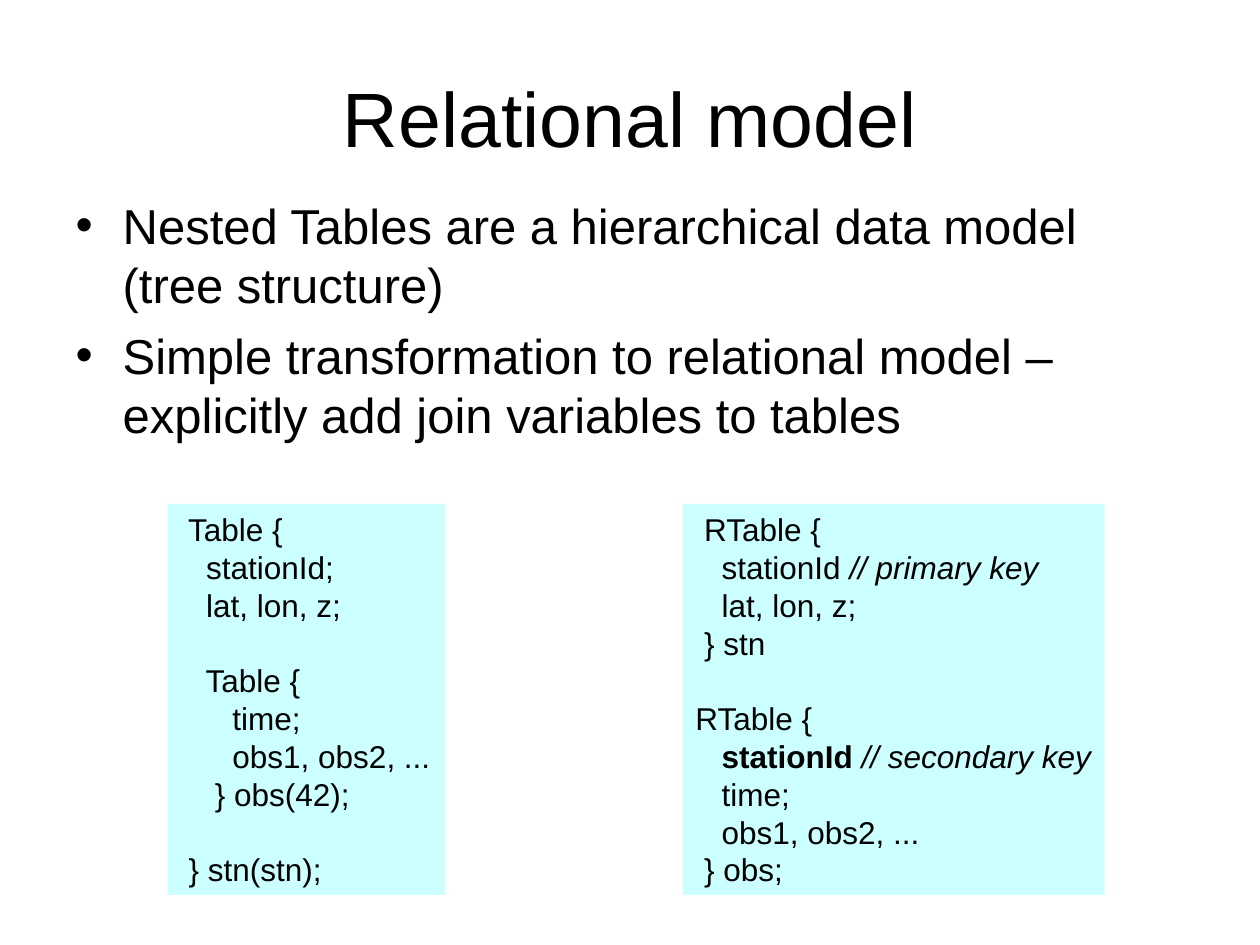
import pptx
import pptx.dml.color
import pptx.enum.shapes
import pptx.enum.text
import pptx.util
from lxml import etree
from pptx.util import Cm

# Content: a line is plain text or a list of (text, style) runs
TITLE = "Relational model"
BULLETS = [
    "Nested Tables are a hierarchical data model (tree structure)",
    "Simple transformation to relational model – explicitly add join variables to tables",
]
NESTED_CODE = [
    " Table {",
    "   stationId;",
    "   lat, lon, z;",
    " ",
    "   Table {",
    "      time;",
    "      obs1, obs2, ...",
    "    } obs(42);",
    " ",
    " } stn(stn);",
]
RELATIONAL_CODE = [
    " RTable {",
    [("   stationId ", ""), ("// primary key", "italic")],
    "   lat, lon, z;",
    " } stn",
    " ",
    "RTable {",
    [("   ", ""), ("stationId ", "bold"), ("// secondary key", "italic")],
    "   time;",
    "   obs1, obs2, ...",
    " } obs;",
]
# Code boxes: left and width in cm, lines
CODE_BOXES = [(3.38, 5.6, NESTED_CODE), (13.77, 8.5, RELATIONAL_CODE)]
CODE_TOP, CODE_HEIGHT = 10.16, 7.88
FONT, BLACK, CODE_FILL = "Arial", "000000", "CCFFFF"
BULLET_INDENT = Cm(0.95)


def color(value):
    return pptx.dml.color.RGBColor.from_string(value)


def add_bullet(paragraph):
    properties = paragraph._p.get_or_add_pPr()
    properties.set("marL", str(BULLET_INDENT))
    properties.set("indent", str(-BULLET_INDENT))
    bullet = etree.SubElement(properties, pptx.oxml.ns.qn("a:buChar"))
    bullet.set("char", "•")


def write_text(shape, lines, size, align="LEFT", anchor="TOP", wrap=True,
               bullets=False, space_before=0):
    frame = shape.text_frame
    frame.word_wrap = wrap
    frame.auto_size = pptx.enum.text.MSO_AUTO_SIZE.NONE
    frame.vertical_anchor = pptx.enum.text.MSO_ANCHOR[anchor]
    for index, line in enumerate(lines):
        paragraph = frame.add_paragraph() if index else frame.paragraphs[0]
        paragraph.alignment = pptx.enum.text.PP_ALIGN[align]
        paragraph.space_before = pptx.util.Pt(space_before if index else 0)
        if bullets:
            add_bullet(paragraph)
        for text, style in [(line, "")] if isinstance(line, str) else line:
            run = paragraph.add_run()
            run.text = text
            run.font.name = FONT
            run.font.size = pptx.util.Pt(size)
            run.font.bold = style == "bold"
            run.font.italic = style == "italic"
            run.font.color.rgb = color(BLACK)


def place(shape, left, top, width, height):
    shape.left, shape.top = Cm(left), Cm(top)
    shape.width, shape.height = Cm(width), Cm(height)


def main():
    presentation = pptx.Presentation()
    presentation.slide_width, presentation.slide_height = Cm(25.4), Cm(19.05)
    slide = presentation.slides.add_slide(
        presentation.slide_layouts.get_by_name("Title and Content"))

    # Title and bullets
    title, body = slide.placeholders
    place(title, 1.27, 0.76, 22.86, 3.18)
    write_text(title, [TITLE], 44, align="CENTER", anchor="MIDDLE")
    place(body, 1.27, 3.81, 22.86, 12.57)
    write_text(body, BULLETS, 28, bullets=True, space_before=7)

    # Code boxes: wide enough for their longest line
    for left, width, lines in CODE_BOXES:
        box = slide.shapes.add_shape(
            pptx.enum.shapes.MSO_SHAPE.RECTANGLE,
            Cm(left), Cm(CODE_TOP), Cm(width), Cm(CODE_HEIGHT))
        box.shadow.inherit = False
        box.fill.solid()
        box.fill.fore_color.rgb = color(CODE_FILL)
        box.line.fill.background()
        write_text(box, lines, 18)

    presentation.save("out.pptx")


if __name__ == "__main__":
    main()
